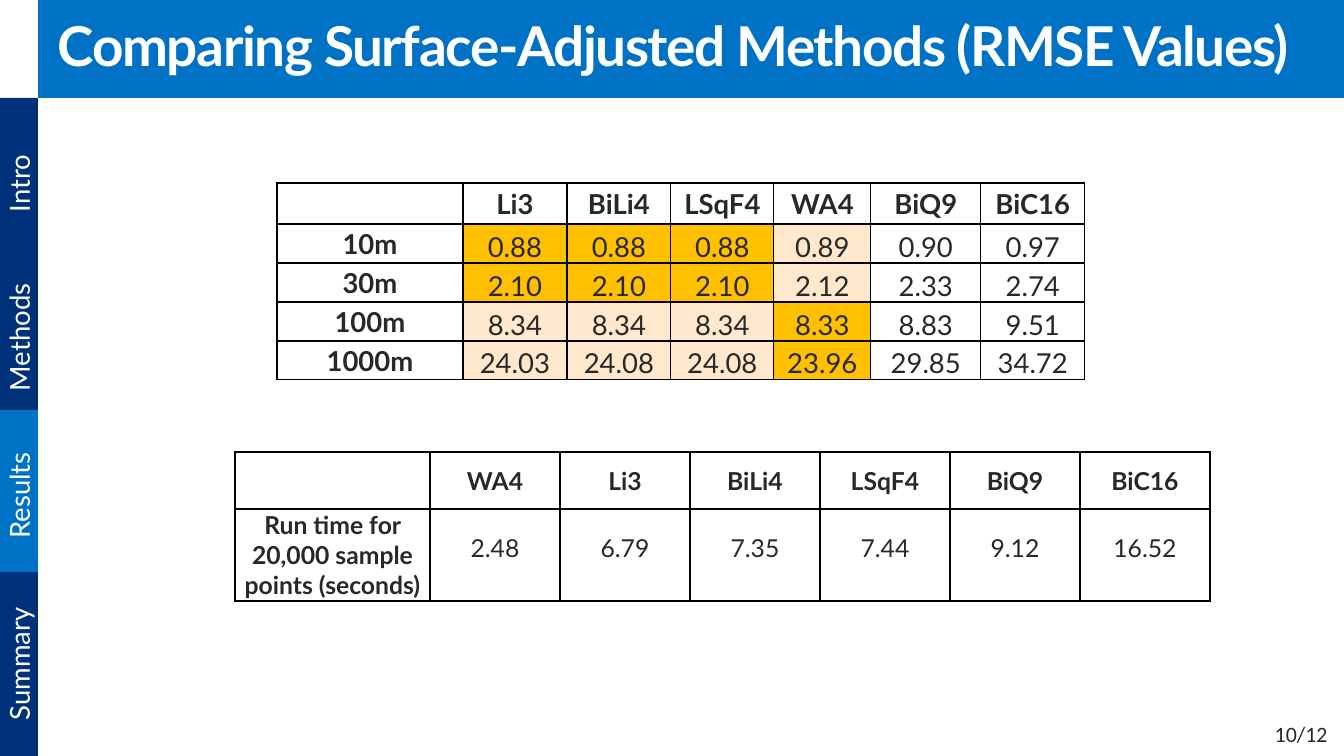
from dataclasses import dataclass

from lxml.etree import SubElement
from pptx import Presentation
from pptx.dml.color import RGBColor
from pptx.enum.shapes import MSO_SHAPE as Shape
from pptx.enum.text import MSO_ANCHOR as Anchor, PP_ALIGN as Align
from pptx.oxml.ns import qn
from pptx.util import Pt

TITLE = "Comparing Surface-Adjusted Methods (RMSE Values)"
PAGE = "10/12"
SECTIONS = [
    ("Methods", 252, 171),
    ("Results", 410, 171),
    ("Summary", 572, 184),
    ("Intro", 98, 171),
]
CURRENT_SECTION = "Results"
RMSE = [
    ("", "Li3", "BiLi4", "LSqF4", "WA4", "BiQ9", "BiC16"),
    ("10m", "0.88", "0.88", "0.88", "0.89", "0.90", "0.97"),
    ("30m", "2.10", "2.10", "2.10", "2.12", "2.33", "2.74"),
    ("100m", "8.34", "8.34", "8.34", "8.33", "8.83", "9.51"),
    ("1000m", "24.03", "24.08", "24.08", "23.96", "29.85", "34.72"),
]
RUN_TIME = [
    ("", "WA4", "Li3", "BiLi4", "LSqF4", "BiQ9", "BiC16"),
    ("Run time for 20,000 sample points (seconds)",
     "2.48", "6.79", "7.35", "7.44", "9.12", "16.52"),
]
NEAR_BEST = 1.02

EMU_PER_PX = 9255
SLIDE_WIDTH, SLIDE_HEIGHT = 1344, 756
RAIL_WIDTH = 38


@dataclass(frozen=True)
class Theme:
    heading_font: str = "Lato"
    page_font: str = "Calibri"
    blue: str = "0072C6"
    navy: str = "00317B"
    white: str = "FFFFFF"
    ink: str = "282828"
    border: str = "000000"
    best: str = "FFC000"
    near: str = "FFE8CC"
    title_size: int = 40
    section_size: int = 20
    rmse_size: int = 20
    run_time_size: int = 18
    page_size: int = 16


theme = Theme()


def px(length):
    return length * EMU_PER_PX


def write(frame, text, *, size, color=theme.ink, font=theme.heading_font,
          bold=False, align=Align.LEFT, line=None, after=0, tracking=None):
    paragraph = frame.paragraphs[0]
    paragraph.alignment = align
    paragraph.space_after = Pt(after)
    if line is not None:
        paragraph.line_spacing = line
    run = paragraph.add_run()
    run.text = text
    run.font.name = font
    run.font.size = Pt(size)
    run.font.bold = bold
    run.font.color.rgb = RGBColor.from_string(color)
    if tracking is not None:
        run.font.fill
        run.font.color.rgb = RGBColor.from_string(color)
        run._r.get_or_add_rPr().set("spc", str(tracking))


def set_margins(target, left, top, right, bottom):
    target.margin_left, target.margin_top = px(left), px(top)
    target.margin_right, target.margin_bottom = px(right), px(bottom)


def add_band(slide, left, top, width, height, color):
    band = slide.shapes.add_shape(
        Shape.RECTANGLE, px(left), px(top), px(width), px(height))
    band.shadow.inherit = False
    band.fill.solid()
    band.fill.fore_color.rgb = RGBColor.from_string(color)
    band.line.fill.background()
    band.text_frame.word_wrap = True
    band.text_frame.vertical_anchor = Anchor.MIDDLE
    return band


def add_section(slide, label, top, height):
    color = theme.blue if label == CURRENT_SECTION else theme.navy
    band = add_band(slide, 0, top, RAIL_WIDTH, height, color)
    set_margins(band.text_frame, 0, 5, 0, 5)
    band.element.txBody.find(qn("a:bodyPr")).set("vert", "vert270")
    write(band.text_frame, label, size=theme.section_size, color=theme.white,
          align=Align.CENTER)


def set_borders(cell, widths):
    properties = cell._tc.get_or_add_tcPr()
    for side, width in zip("LRTB", widths):
        edge = SubElement(properties, qn(f"a:ln{side}"), w=str(Pt(width)))
        solid = SubElement(edge, qn("a:solidFill"))
        SubElement(solid, qn("a:srgbClr"), val=theme.border)


def rank_color(value, values):
    best = min(map(float, values))
    if float(value) == best:
        return theme.best
    return theme.near if float(value) <= best * NEAR_BEST else None


def add_grid(slide, rows, left, top, widths, heights, *, size, value_anchor,
             ranked=False):
    grid = slide.shapes.add_table(
        len(rows), len(widths), px(left), px(top),
        px(sum(widths)), px(sum(heights))).table
    grid.first_row = False
    grid.horz_banding = False
    for column, width in zip(grid.columns, widths):
        column.width = px(width)
    for row, height in zip(grid.rows, heights):
        row.height = px(height)
    for r, row in enumerate(rows):
        for c, text in enumerate(row):
            cell = grid.cell(r, c)
            is_value = r > 0 and c > 0
            set_borders(cell, (1.5 if c == 1 else 1, 1.5 if c == 0 else 1,
                               1.5 if r == 1 else 1, 1.5 if r == 0 else 1))
            color = rank_color(text, row[1:]) if ranked and is_value else None
            if color:
                cell.fill.solid()
                cell.fill.fore_color.rgb = RGBColor.from_string(color)
            else:
                cell.fill.background()
            if is_value:
                set_margins(cell, 1, 1, 1, 0)
                cell.vertical_anchor = value_anchor
            else:
                set_margins(cell, 6, 0, 6, 0)
                cell.vertical_anchor = Anchor.MIDDLE
            write(cell.text_frame, text, size=size, bold=not is_value,
                  align=Align.CENTER, line=Pt(10) if is_value else None,
                  after=0 if is_value else 2)


def main():
    deck = Presentation()
    deck.slide_width, deck.slide_height = px(SLIDE_WIDTH), px(SLIDE_HEIGHT)
    slide = deck.slides.add_slide(deck.slide_layouts[6])

    header = add_band(slide, RAIL_WIDTH, -1, SLIDE_WIDTH - RAIL_WIDTH, 99,
                      theme.blue)
    set_margins(header.text_frame, 20, 10, 30, 10)
    write(header.text_frame, TITLE, size=theme.title_size, color=theme.white,
          bold=True, line=0.9, tracking=-100)

    page = slide.shapes.add_textbox(px(1265), px(716), px(79), px(40))
    page.text_frame.word_wrap = True
    write(page.text_frame, PAGE, size=theme.page_size, font=theme.page_font)

    for label, top, height in SECTIONS:
        add_section(slide, label, top, height)

    add_grid(slide, RMSE, 277, 183, [186, 104, 104, 103, 97, 110, 104],
             [41] + [39] * 4, size=theme.rmse_size,
             value_anchor=Anchor.BOTTOM, ranked=True)
    add_grid(slide, RUN_TIME, 235, 452, [195] + [130] * 6, [57, 92],
             size=theme.run_time_size, value_anchor=Anchor.MIDDLE)

    deck.save("out.pptx")


if __name__ == "__main__":
    main()
